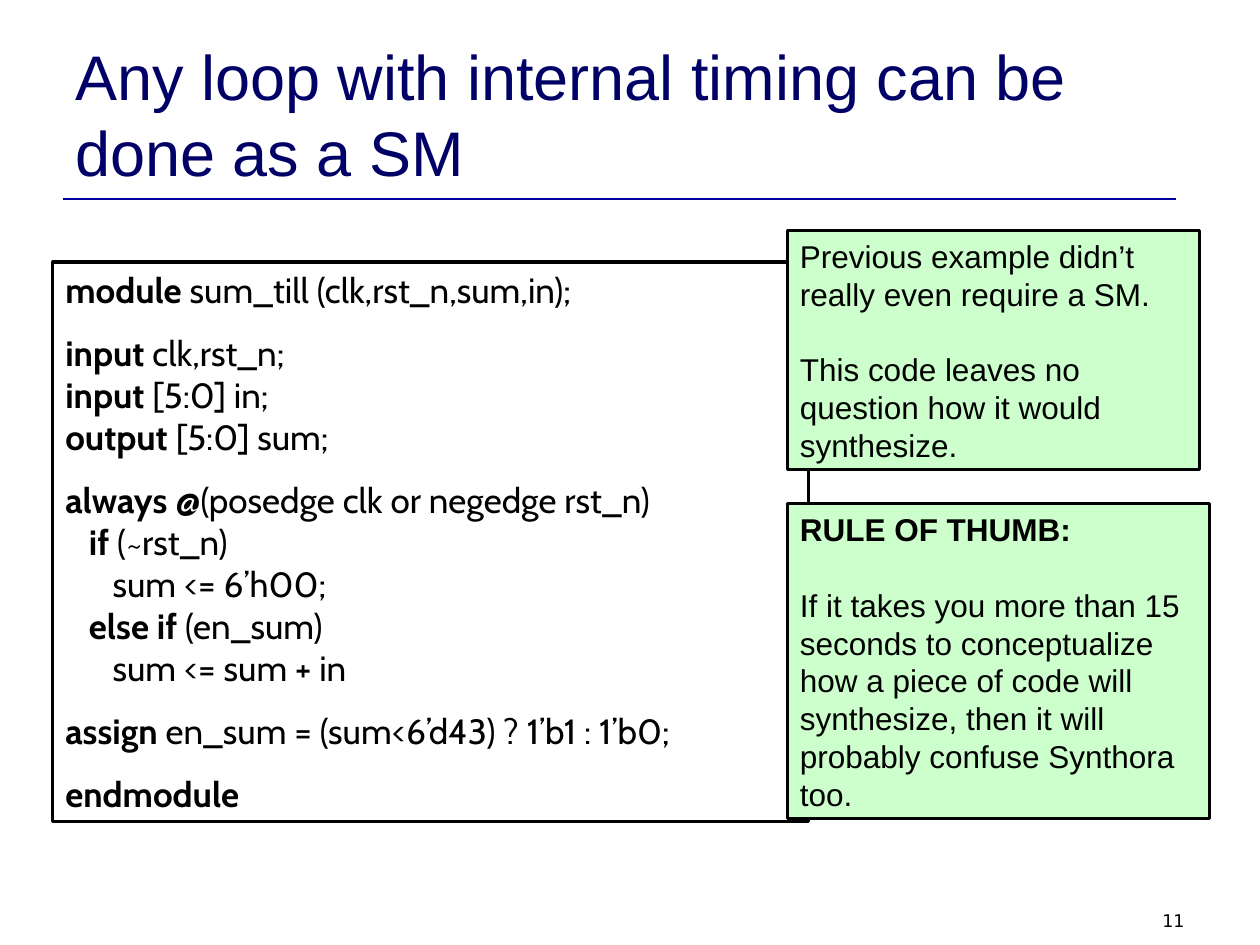
from pptx import Presentation
from pptx import util as u
from pptx.dml.color import RGBColor
from pptx.enum import shapes, text
from pptx.oxml.ns import qn
from lxml import etree

Pt = u.Pt
COLORS = {"title": "000066", "rule": "0000A0", "ink": "000000", "note": "CCFFCC"}

# Content: each paragraph is (starts a new group, [(text, bold), ...])
TITLE = [(False, [("Any loop with internal timing can be done as a SM", False)])]
NUMBER = [(False, [("11", False)])]
CODE = [
    (False, [("module", True), (" sum_till (clk,rst_n,sum,in);", False)]),
    (True, [("input", True), (" clk,rst_n;", False)]),
    (False, [("input", True), (" [5:0] in;", False)]),
    (False, [("output", True), (" [5:0] sum;", False)]),
    (True, [("always", True), (" @(posedge clk or negedge rst_n)", False)]),
    (False, [("   ", False), ("if", True), (" (~rst_n)", False)]),
    (False, [("      sum <= 6’h00;", False)]),
    (False, [("   ", False), ("else if", True), (" (en_sum)", False)]),
    (False, [("      sum <= sum + in", False)]),
    (True, [("assign", True), (" en_sum = (sum<6’d43) ? 1’b1 : 1’b0;", False)]),
    (True, [("endmodule", True)]),
]
EXAMPLE_NOTE = [
    (False, [("Previous example didn’t really even require a SM.", False)]),
    (True, [("This code leaves no question how it would synthesize.", False)]),
]
RULE_NOTE = [
    (False, [("RULE OF THUMB:", True)]),
    (True, [("If it takes you more than 15 seconds to conceptualize how a piece "
             "of code will synthesize, then it will probably confuse Synthora too.", False)]),
]
NOTE_LEFT = 450
BOXES = [  # content, (left, top, width, height), fill, font, size, group gap, line pitch
    (CODE, (30.24, 149.76, 432, 319.68), None, "Cabin", 20, 12, None),
    (EXAMPLE_NOTE, (NOTE_LEFT, 131.76, 235.44, 136.8), "note", "Arial", 18, 21.6, 21.6),
    (RULE_NOTE, (NOTE_LEFT, 288, 241.2, 180), "note", "Arial", 18, 21.6, 21.6),
]


def color(name):
    return RGBColor.from_string(COLORS[name])


def write(shape, paragraphs, font, size, ink="ink", gap=0, pitch=None,
          anchor=text.MSO_ANCHOR.TOP, align=text.PP_ALIGN.LEFT):
    frame = shape.text_frame
    frame.word_wrap = True
    frame.vertical_anchor = anchor
    frame.margin_left = frame.margin_right = Pt(7.2)
    frame.margin_top = frame.margin_bottom = Pt(3.6)
    for index, (new_group, pieces) in enumerate(paragraphs):
        paragraph = frame.paragraphs[0] if index == 0 else frame.add_paragraph()
        paragraph.alignment = align
        if new_group:
            paragraph.space_before = Pt(gap)
        if pitch:
            paragraph.line_spacing = Pt(pitch)
        for words, bold in pieces:
            run = paragraph.add_run()
            run.text = words
            run.font.name = font
            run.font.size = Pt(size)
            run.font.bold = bold
            run.font.color.rgb = color(ink)


presentation = Presentation()
presentation.slide_width, presentation.slide_height = Pt(720), Pt(540)
slide = presentation.slides.add_slide(presentation.slide_layouts[6])

# Rule under the title
rule = slide.shapes.add_connector(
    shapes.MSO_CONNECTOR.STRAIGHT, Pt(36), Pt(113.76), Pt(671.76), Pt(113.76))
rule.line.color.rgb = color("rule")
rule.line.width = Pt(1.5)
etree.SubElement(rule._element.spPr, qn("a:effectLst"))

# Slide number and title
number = slide.shapes.add_textbox(Pt(516.24), Pt(516.24), Pt(167.76), Pt(18))
write(number, NUMBER, "DejaVu Sans", 10, align=text.PP_ALIGN.RIGHT)
title = slide.shapes.add_textbox(Pt(36), Pt(21.6), Pt(648), Pt(90))
write(title, TITLE, "Arial", 36, "title", pitch=43.2, anchor=text.MSO_ANCHOR.BOTTOM)

# Code listing and the notes in front of it
for paragraphs, place, fill, font, size, gap, pitch in BOXES:
    box = slide.shapes.add_shape(shapes.MSO_SHAPE.RECTANGLE, *map(Pt, place))
    box.shadow.inherit = False
    if fill:
        box.fill.solid()
        box.fill.fore_color.rgb = color(fill)
    else:
        box.fill.background()
    box.line.color.rgb = color("ink")
    box.line.width = Pt(1.75)
    write(box, paragraphs, font, size, gap=gap, pitch=pitch)

presentation.save("out.pptx")
